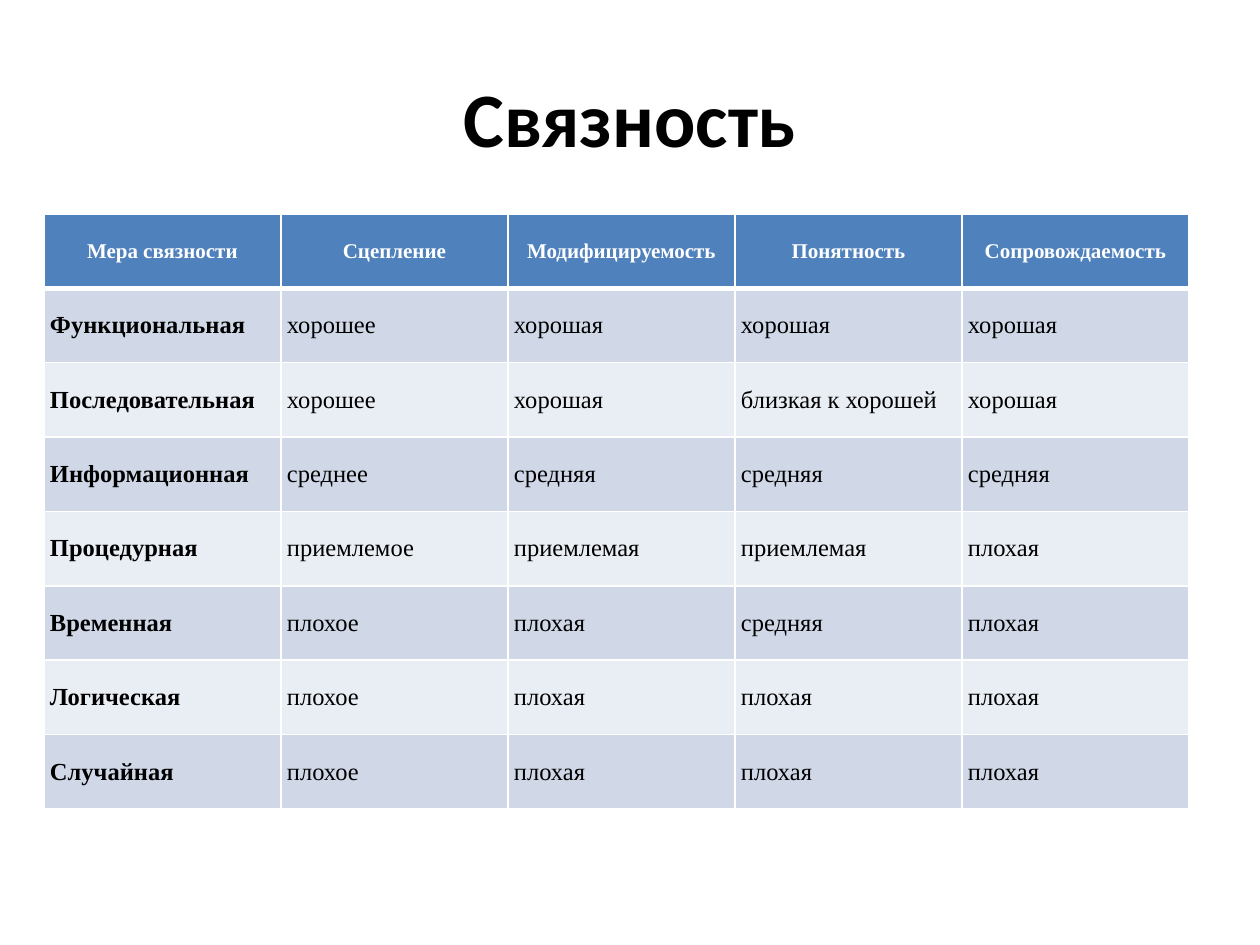
"""Build a slide with a table that rates the measures of cohesion."""
from lxml import etree
from pptx import Presentation
from pptx.dml.color import RGBColor
from pptx.enum.text import MSO_ANCHOR, PP_ALIGN
from pptx.oxml.ns import qn
from pptx.util import Pt

MID = MSO_ANCHOR.MIDDLE
LEFT, CENTER = PP_ALIGN.LEFT, PP_ALIGN.CENTER

TITLE = "Связность"
HEAD = ["Мера связности", "Сцепление", "Модифицируемость", "Понятность", "Сопровождаемость"]
ROWS = [
    ["Функциональная", "хорошее", "хорошая", "хорошая", "хорошая"],
    ["Последовательная", "хорошее", "хорошая", "близкая к хорошей", "хорошая"],
    ["Информационная", "среднее", "средняя", "средняя", "средняя"],
    ["Процедурная", "приемлемое", "приемлемая", "приемлемая", "плохая"],
    ["Временная", "плохое", "плохая", "средняя", "плохая"],
    ["Логическая", "плохое", "плохая", "плохая", "плохая"],
    ["Случайная", "плохое", "плохая", "плохая", "плохая"],
]
COLORS = {"ink": "000000", "white": "FFFFFF", "head": "4F81BD", "odd": "D0D8E8", "even": "E9EDF4"}
SLIDE = (1260, 945)
TITLE_BOX = (63, 38, 1134, 157)
GRID = (44, 214)
WIDTHS = [237, 227, 227, 227, 227]
HEIGHT = 595
INSET = 6
SCALE = 914400 / 126


def emu(px):
    return round(px * SCALE)


def color(name):
    return RGBColor.from_string(COLORS[name])


def write(frame, text, font="Times New Roman", size=14, bold=False, ink="ink", align=LEFT):
    para = frame.paragraphs[0]
    para.alignment = align
    run = para.add_run()
    run.text = text
    run.font.name = font
    run.font.size = Pt(size)
    run.font.bold = bold
    run.font.color.rgb = color(ink)


def border(cell, **widths):
    props = cell._tc.get_or_add_tcPr()
    for side, width in widths.items():
        line = etree.SubElement(props, qn(f"a:ln{side}"), w=str(Pt(width)))
        fill = etree.SubElement(line, qn("a:solidFill"))
        etree.SubElement(fill, qn("a:srgbClr"), val=COLORS["white"])


def add_title(slide):
    frame = slide.shapes.add_textbox(*map(emu, TITLE_BOX)).text_frame
    frame.word_wrap = True
    frame.vertical_anchor = MID
    write(frame, TITLE, font="Calibri", size=44, bold=True, align=CENTER)


def add_grid(slide):
    data = [HEAD, *ROWS]
    size = (sum(WIDTHS), HEIGHT)
    table = slide.shapes.add_table(len(data), len(HEAD), *map(emu, GRID + size)).table
    for col, width in zip(table.columns, WIDTHS):
        col.width = emu(width)
    for row, texts in enumerate(data):
        table.rows[row].height = emu(HEIGHT / len(data))
        top = row == 0
        shade = "head" if top else ("even", "odd")[row % 2]
        for col, text in enumerate(texts):
            cell = table.cell(row, col)
            cell.margin_left = cell.margin_right = emu(INSET)
            cell.margin_top = cell.margin_bottom = emu(INSET)
            cell.vertical_anchor = MID
            border(cell, L=1, R=1, T=3 if row == 1 else 1, B=3 if top else 1)
            cell.fill.solid()
            cell.fill.fore_color.rgb = color(shade)
            write(cell.text_frame, text, size=12 if top else 14, bold=top or col == 0,
                  ink="white" if top else "ink", align=CENTER if top else LEFT)


def main():
    deck = Presentation()
    deck.slide_width, deck.slide_height = map(emu, SLIDE)
    slide = deck.slides.add_slide(deck.slide_layouts[6])
    add_title(slide)
    add_grid(slide)
    deck.save("out.pptx")


if __name__ == "__main__":
    main()
